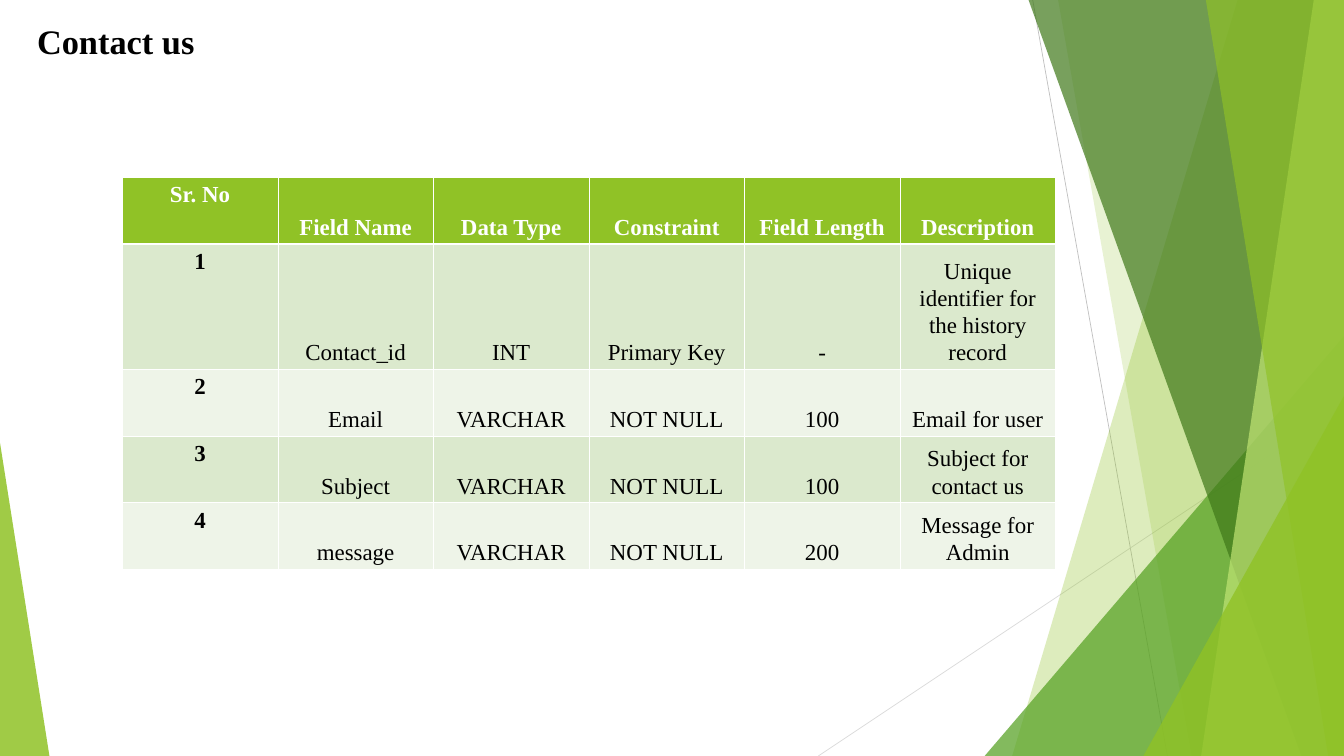
from dataclasses import dataclass

from lxml.etree import SubElement
from pptx import Presentation
from pptx.dml.color import RGBColor
from pptx.enum.shapes import MSO_CONNECTOR, MSO_SHAPE
from pptx.enum.text import MSO_ANCHOR, MSO_AUTO_SIZE, PP_ALIGN
from pptx.oxml.ns import qn
from pptx.util import Inches, Pt


@dataclass(frozen=True)
class Theme:
    font: str = "Times New Roman"
    title_size: int = 36
    table_size: int = 24
    black: str = "000000"
    white: str = "FFFFFF"
    lime: str = "90C226"
    pale_lime: str = "C0E474"
    green: str = "54A021"
    dark_green: str = "3F7819"
    grey: str = "BFBFBF"
    light_grey: str = "D9D9D9"
    odd_row: str = "DBE9CD"
    even_row: str = "EEF4E8"
    thin_border: float = 0.45
    thick_border: float = 1.47


class SlideBuilder:
    """Draws on one slide; every length is a percentage of the slide's size."""

    def __init__(self, presentation, theme):
        self.width = presentation.slide_width
        self.height = presentation.slide_height
        self.theme = theme
        self.slide = presentation.slides.add_slide(presentation.slide_layouts[6])
        self.shapes = self.slide.shapes

    def x(self, share):
        return round(self.width * share / 100)

    def y(self, share):
        return round(self.height * share / 100)

    def box(self, left, top, width, height):
        return self.x(left), self.y(top), self.x(width), self.y(height)

    def line(self, start, end, color):
        connector = self.shapes.add_connector(
            MSO_CONNECTOR.STRAIGHT,
            self.x(start[0]), self.y(start[1]), self.x(end[0]), self.y(end[1]))
        connector.line.color.rgb = RGBColor.from_string(color)
        connector.line.width = Pt(0.75)
        SubElement(connector._element.spPr, qn("a:effectLst"))

    def paint(self, shape, color, opacity):
        shape.shadow.inherit = False
        shape.line.fill.background()
        shape.fill.solid()
        shape.fill.fore_color.rgb = RGBColor.from_string(color)
        color_element = next(shape._element.spPr.iter(qn("a:srgbClr")))
        SubElement(color_element, qn("a:alpha")).set("val", str(opacity * 1000))

    def panel(self, top_left, bottom_left, color, opacity):
        """Full-height panel with a slanted left edge, flush with the right side."""
        builder = self.shapes.build_freeform(self.x(top_left), 0)
        builder.add_line_segments(
            [(self.width, 0), (self.width, self.height), (self.x(bottom_left), self.height)])
        self.paint(builder.convert_to_shape(), color, opacity)

    def corner(self, left, top, width, apex, color, opacity):
        """Right triangle standing on the bottom edge of the slide."""
        triangle = self.shapes.add_shape(
            MSO_SHAPE.ISOSCELES_TRIANGLE, *self.box(left, top, width, 100 - top))
        triangle.adjustments[0] = apex
        self.paint(triangle, color, opacity)

    def style(self, paragraph, size, color, bold):
        for run in paragraph.runs:
            run.font.name = self.theme.font
            run.font.size = Pt(size)
            run.font.bold = bold
            run.font.color.rgb = RGBColor.from_string(color)

    def title(self, text, left, top, width, height):
        frame = self.shapes.add_textbox(*self.box(left, top, width, height)).text_frame
        frame.word_wrap = True
        frame.auto_size = MSO_AUTO_SIZE.SHAPE_TO_FIT_TEXT
        frame.text = text
        self.style(frame.paragraphs[0], self.theme.title_size, self.theme.black, True)

    def borders(self, cell, row):
        thick_sides = {0: "B", 1: "T"}
        for side in "LRTB":
            thick = thick_sides.get(row) == side
            weight = self.theme.thick_border if thick else self.theme.thin_border
            border = SubElement(cell._tc.get_or_add_tcPr(), qn(f"a:ln{side}"))
            border.set("w", str(Pt(weight)))
            fill = SubElement(border, qn("a:solidFill"))
            SubElement(fill, qn("a:srgbClr")).set("val", self.theme.white)

    def cell(self, cell, text, row, column):
        theme = self.theme
        header = row == 0
        self.borders(cell, row)
        cell.fill.solid()
        fill = theme.lime if header else (theme.even_row, theme.odd_row)[row % 2]
        cell.fill.fore_color.rgb = RGBColor.from_string(fill)
        cell.margin_left = cell.margin_right = Inches(0.08)
        cell.margin_top = cell.margin_bottom = Inches(0.05)
        cell.vertical_anchor = MSO_ANCHOR.TOP if column == 0 else MSO_ANCHOR.BOTTOM
        cell.text_frame.text = text
        paragraph = cell.text_frame.paragraphs[0]
        paragraph.alignment = PP_ALIGN.CENTER
        paragraph.line_spacing = 1.07
        paragraph.space_after = Pt(12)
        self.style(paragraph, theme.table_size, theme.white if header else theme.black,
                   header or column == 0)

    def table(self, rows, left, top, width, row_heights):
        table = self.shapes.add_table(
            len(rows), len(rows[0]), *self.box(left, top, width, sum(row_heights))).table
        for table_row, height in zip(table.rows, row_heights):
            table_row.height = self.y(height)
        for row, texts in enumerate(rows):
            for column, text in enumerate(texts):
                self.cell(table.cell(row, column), text, row, column)


CONTACT_FIELDS = [
    ("Sr. No", "Field Name", "Data Type", "Constraint", "Field Length", "Description"),
    ("1", "Contact_id", "INT", "Primary Key", "-", "Unique identifier for the history record"),
    ("2", "Email", "VARCHAR", "NOT NULL", "100", "Email for user"),
    ("3", "Subject", "VARCHAR", "NOT NULL", "100", "Subject for contact us"),
    ("4", "message", "VARCHAR", "NOT NULL", "200", "Message for Admin"),
]


def draw_backdrop(builder):
    theme = builder.theme
    builder.line((76.84, 0), (86.86, 100), theme.grey)
    builder.line((100, 53.64), (60.89, 100), theme.light_grey)
    builder.panel(92.08, 75.31, theme.lime, 30)
    builder.panel(78.73, 88.65, theme.lime, 20)
    builder.corner(73.26, 44.45, 26.74, 1, theme.green, 72)
    builder.panel(76.53, 96.83, theme.dark_green, 70)
    builder.panel(97.75, 89.37, theme.pale_lime, 70)
    builder.panel(89.72, 98.82, theme.lime, 65)
    builder.corner(85.07, 52.36, 14.93, 1, theme.lime, 80)
    builder.corner(0, 58.55, 3.68, 0, theme.lime, 85)


def main():
    presentation = Presentation()
    presentation.slide_width = Inches(19.56)
    presentation.slide_height = Inches(11)
    builder = SlideBuilder(presentation, Theme())
    draw_backdrop(builder)
    builder.title("Contact us", 2.25, 2.27, 25.56, 6.36)
    builder.table(CONTACT_FIELDS, 9.1, 23.45, 69.43, [8.82, 16.55, 8.82, 8.82, 8.82])
    presentation.save("out.pptx")


if __name__ == "__main__":
    main()
